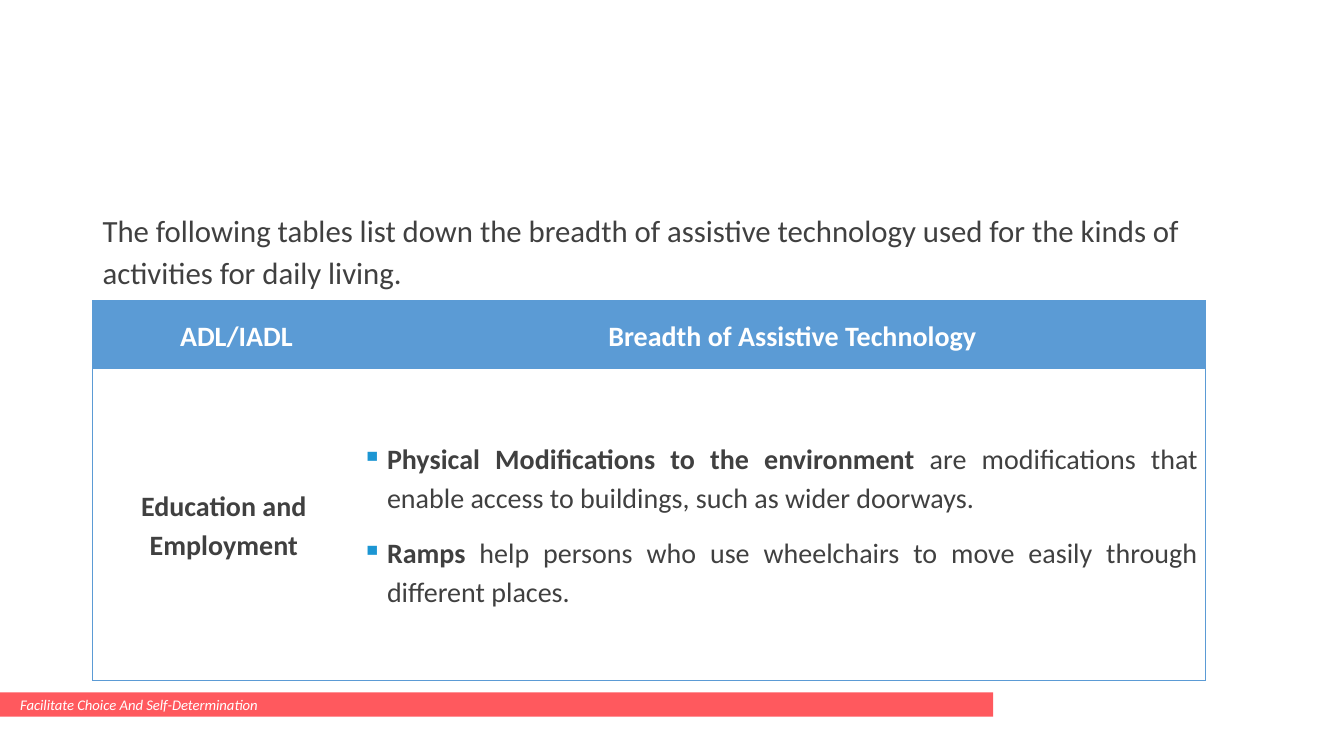
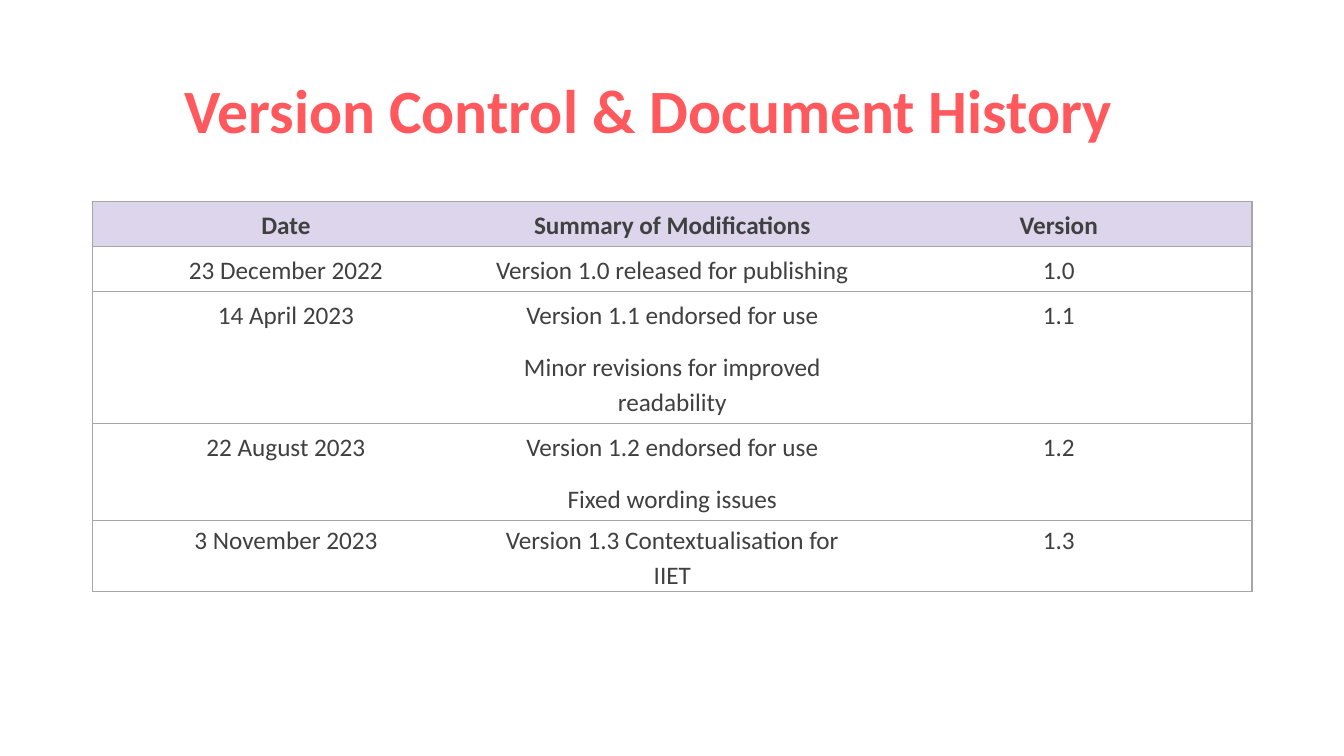
import pptx
import pptx.util
import pptx.dml.color
import pptx.enum.shapes
import pptx.enum.text
import pptx.oxml.ns
from lxml import etree

WIDE, HIGH = 13.33, 7.5
FONT = "Calibri"
INK = {"text": "404040", "coral": "FF595E", "white": "FFFFFF", "blue": "5B9BD5",
       "lilac": "DDD5EB", "gray": "A6A6A6", "dot": "1C96D3"}
ALIGN = pptx.enum.text.PP_ALIGN
ANCHOR = pptx.enum.text.MSO_ANCHOR
LEFT, SPAN = 6.9, 82.75  # content column, in percent of the slide width
Pt, Inches = pptx.util.Pt, pptx.util.Inches


def across(share):
    return Inches(WIDE * share / 100)


def down(share):
    return Inches(HIGH * share / 100)


def place(box):
    left, top, width, height = box
    return across(left), down(top), across(width), down(height)


def color(name):
    return pptx.dml.color.RGBColor.from_string(INK[name])


def node(parent, tag, **attrs):
    return etree.SubElement(parent, pptx.oxml.ns.qn("a:" + tag), attrs)


def write(frame, text, size=18, ink="text", bold=False, italic=False, align=ALIGN.LEFT,
          line=1.0, gap=0, margin=0, hang=0, bullet=None):
    """Each line of text is a paragraph; words before a bar are bold."""
    frame.word_wrap = True
    for i, words in enumerate(text.split("\n")):
        para = frame.paragraphs[0] if i == 0 else frame.add_paragraph()
        props = para._p.get_or_add_pPr()
        props.set("marL", str(Inches(margin)))
        props.set("indent", str(Inches(hang)))
        if bullet:
            node(node(props, "buClr"), "srgbClr", val=INK["dot"])
            node(props, "buChar", char=bullet)
        para.alignment = align
        para.line_spacing = line
        para.space_before = Pt(gap if i else 0)
        para.space_after = Pt(gap)
        lead, bar, rest = words.partition("|")
        for part, heavy in ((lead, bold or bool(bar)), (rest, bold)):
            if part:
                run = para.add_run()
                run.text = part
                font = run.font
                font.name, font.size = FONT, Pt(size)
                font.bold, font.italic = heavy, italic
                font.color.rgb = color(ink)


def label(slide, box, text, anchor=ANCHOR.TOP, **style):
    frame = slide.shapes.add_textbox(*place(box)).text_frame
    frame.vertical_anchor = anchor
    write(frame, text, **style)


def title(slide, text):
    label(slide, (LEFT, 5.33, SPAN, 19.33), text, anchor=ANCHOR.MIDDLE, size=44,
          ink="coral", bold=True, align=ALIGN.CENTER, line=0.9)


def footer(slide, text):
    band = slide.shapes.add_shape(pptx.enum.shapes.MSO_SHAPE.RECTANGLE,
                                  *place((0, 91.6, 73.9, 3.2)))
    band.shadow.inherit = False
    band.fill.solid()
    band.fill.fore_color.rgb = color("coral")
    band.line.fill.background()
    frame = band.text_frame
    frame.margin_top = frame.margin_bottom = 0
    frame.vertical_anchor = ANCHOR.MIDDLE
    write(frame, text, size=10.5, ink="white", italic=True, margin=0.1)


def grid(slide, left, top, cols, rows):
    """Empty table with the given column and row shares."""
    box = (left, top, sum(cols), sum(rows))
    table = slide.shapes.add_table(len(rows), len(cols), *place(box)).table
    table.first_row = table.horz_banding = False
    for column, share in zip(table.columns, cols):
        column.width = across(share)
    for row, share in zip(table.rows, rows):
        row.height = down(share)
    return table


def edge(cell, sides, ink, width):
    props = cell._tc.get_or_add_tcPr()
    for side in "LRTB":
        line = node(props, "ln" + side, w=str(Pt(width)))
        if side in sides:
            node(node(line, "solidFill"), "srgbClr", val=INK[ink])
        else:
            node(line, "noFill")


def paint(cell, fill):
    if fill:
        cell.fill.solid()
        cell.fill.fore_color.rgb = color(fill)
    else:
        cell.fill.background()


def tight(cell):
    cell.margin_left = cell.margin_right = Inches(0.07)
    cell.margin_top = cell.margin_bottom = 0


def outer(col, count):
    """Side borders that a cell in this column carries."""
    return "L" * (col == 0) + "R" * (col == count - 1)


def living(slide, left, top):
    """Table of activities and the technology for each."""
    head = dict(ink="white", bold=True, align=ALIGN.CENTER, line=1.15, margin=0.5, hang=-0.25)
    topic = dict(bold=True, align=ALIGN.CENTER, line=1.13)
    points = dict(align=ALIGN.JUSTIFY, line=1.13, margin=0.25, hang=-0.25, bullet="▪")
    cells = [
        [("ADL/IADL", head), ("Breadth of Assistive Technology", head)],
        [("Education and Employment", topic),
         ("Physical Modifications to the environment| are modifications that enable access "
          "to buildings, such as wider doorways.\n"
          "Ramps| help persons who use wheelchairs to move easily through different places.",
          points)],
    ]
    table = grid(slide, left, top, (19.5, 63.25), (8.93, 41.33))
    for r, row in enumerate(cells):
        for c, (text, style) in enumerate(row):
            cell = table.cell(r, c)
            tight(cell)
            cell.vertical_anchor = ANCHOR.MIDDLE
            edge(cell, "TB" + outer(c, 2), "blue", 0.5)
            paint(cell, None if r else "blue")
            write(cell.text_frame, text, size=20, gap=6, **style)


def history(slide, left, top):
    """Table of released versions."""
    cells = [
        ("Date", "Summary of Modifications", "Version"),
        ("23 December 2022", "Version 1.0 released for publishing", "1.0"),
        ("14 April 2023",
         "Version 1.1 endorsed for use\nMinor revisions for improved readability", "1.1"),
        ("22 August 2023", "Version 1.2 endorsed for use\nFixed wording issues", "1.2"),
        ("3 November 2023", "Version 1.3 Contextualisation for IIET", "1.3"),
    ]
    table = grid(slide, left, top, (28.75,) * 3, (5.95, 5.95, 17.45, 12.85, 9.35))
    for r, row in enumerate(cells):
        last = r == len(cells) - 1
        for c, text in enumerate(row):
            cell = table.cell(r, c)
            if last:
                tight(cell)
            edge(cell, "TB" + outer(c, 3), "gray", 1)
            paint(cell, None if r else "lilac")
            write(cell.text_frame, text, bold=r == 0, align=ALIGN.CENTER,
                  line=1.15 if last else 1.14, gap=6)


def main():
    deck = pptx.Presentation()
    deck.slide_width, deck.slide_height = Inches(WIDE), Inches(HIGH)
    blank = deck.slide_layouts[6]

    # Daily living
    slide = deck.slides.add_slide(blank)
    label(slide, (LEFT, 26.67, SPAN, 13), "The following tables list down the breadth of "
          "assistive technology used for the kinds of activities for daily living.",
          size=22, line=1.14, gap=6)
    footer(slide, "Facilitate Choice And Self-Determination")
    living(slide, LEFT, 39.75)

    # Document history
    slide = deck.slides.add_slide(blank)
    title(slide, "Version Control & Document History")
    history(slide, LEFT, 26.67)

    deck.save("out.pptx")


if __name__ == "__main__":
    main()
